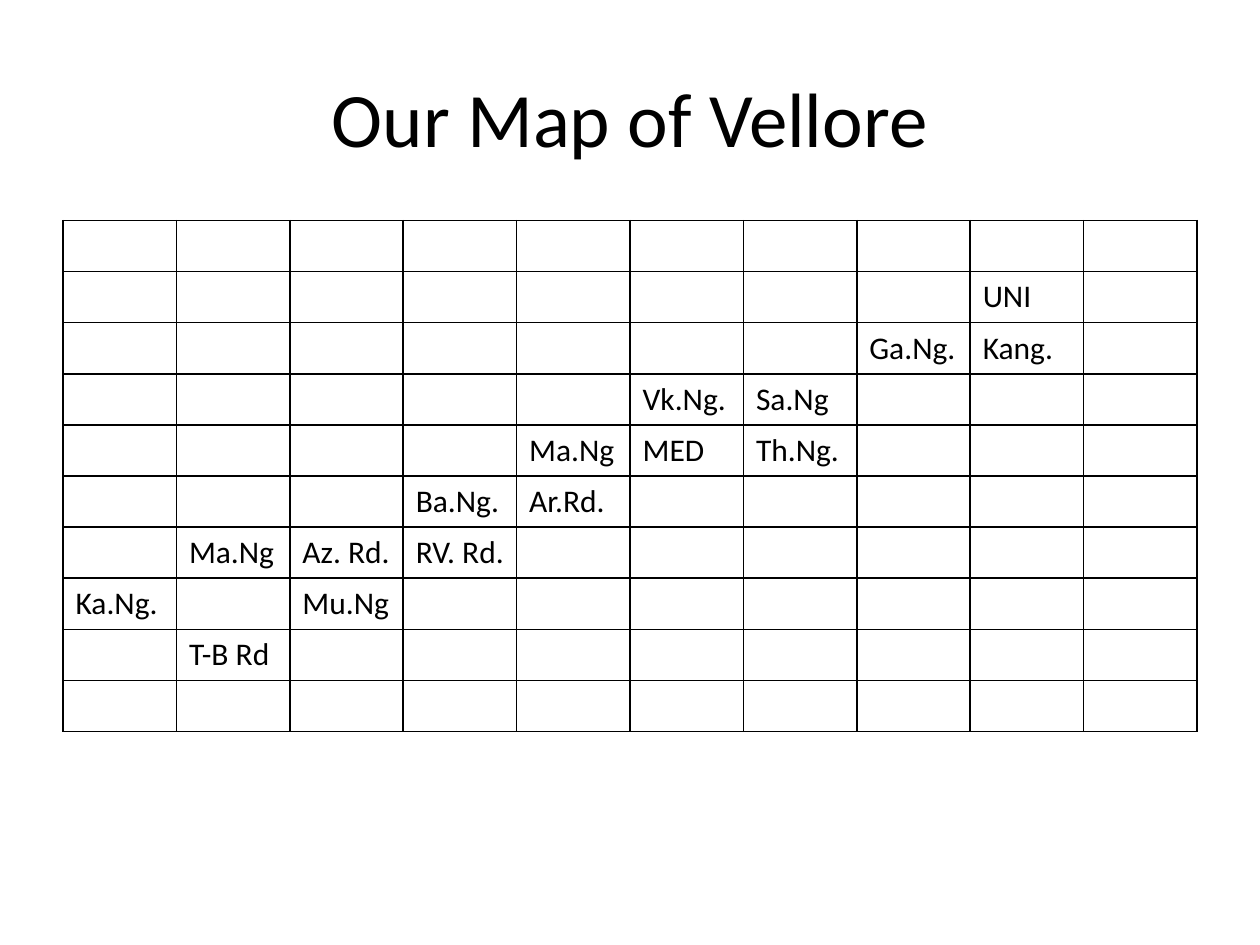
from lxml.etree import SubElement
from pptx import Presentation
from pptx.dml.color import RGBColor
from pptx.enum.text import MSO_ANCHOR, PP_ALIGN
from pptx.oxml.ns import qn
from pptx.util import Pt

BLACK = RGBColor(0x00, 0x00, 0x00)

GRID_SIZE = 10
COLUMN_WIDTH = 64.8
ROW_HEIGHT = 29.2

# (row, column) on the map grid, counted from the top left
PLACES = {
    (1, 8): "UNI",
    (2, 7): "Ga.Ng.", (2, 8): "Kang.",
    (3, 5): "Vk.Ng.", (3, 6): "Sa.Ng",
    (4, 4): "Ma.Ng", (4, 5): "MED", (4, 6): "Th.Ng.",
    (5, 3): "Ba.Ng.", (5, 4): "Ar.Rd.",
    (6, 1): "Ma.Ng", (6, 2): "Az. Rd.", (6, 3): "RV. Rd.",
    (7, 0): "Ka.Ng.", (7, 2): "Mu.Ng",
    (8, 1): "T-B Rd",
}


class MapSlide:
    font = "Calibri"
    ink = BLACK
    title_size = 44
    place_size = 18
    border_width = 1

    def __init__(self, slide):
        self.slide = slide

    def add_text(self, paragraph, text, size):
        run = paragraph.add_run()
        run.text = text
        run.font.name = self.font
        run.font.size = Pt(size)
        run.font.color.rgb = self.ink

    def title(self, text, left, top, width, height):
        box = self.slide.shapes.add_textbox(Pt(left), Pt(top), Pt(width), Pt(height))
        frame = box.text_frame
        frame.word_wrap = True
        frame.vertical_anchor = MSO_ANCHOR.MIDDLE
        heading = frame.paragraphs[0]
        heading.alignment = PP_ALIGN.CENTER
        self.add_text(heading, text, self.title_size)

    def outline(self, cell):
        """Draw all four borders of a cell and leave it unfilled."""
        properties = cell._tc.get_or_add_tcPr()
        for side in ("a:lnL", "a:lnR", "a:lnT", "a:lnB"):
            border = SubElement(properties, qn(side), w=str(Pt(self.border_width)))
            fill = SubElement(border, qn("a:solidFill"))
            SubElement(fill, qn("a:srgbClr"), val=str(self.ink))
        cell.fill.background()

    def grid(self, places, left, top):
        table = self.slide.shapes.add_table(
            GRID_SIZE, GRID_SIZE, Pt(left), Pt(top),
            Pt(GRID_SIZE * COLUMN_WIDTH), Pt(GRID_SIZE * ROW_HEIGHT)).table
        table.first_row = False
        table.horz_banding = False
        for cell in table.iter_cells():
            self.outline(cell)
        for (row, column), place in places.items():
            paragraph = table.cell(row, column).text_frame.paragraphs[0]
            self.add_text(paragraph, place, self.place_size)


def main():
    deck = Presentation()
    deck.slide_width, deck.slide_height = Pt(720), Pt(540)
    page = MapSlide(deck.slides.add_slide(deck.slide_layouts[6]))
    page.title("Our Map of Vellore", 36, 21.6, 648, 90)
    page.grid(PLACES, 36, 126)
    deck.save("out.pptx")


if __name__ == "__main__":
    main()
